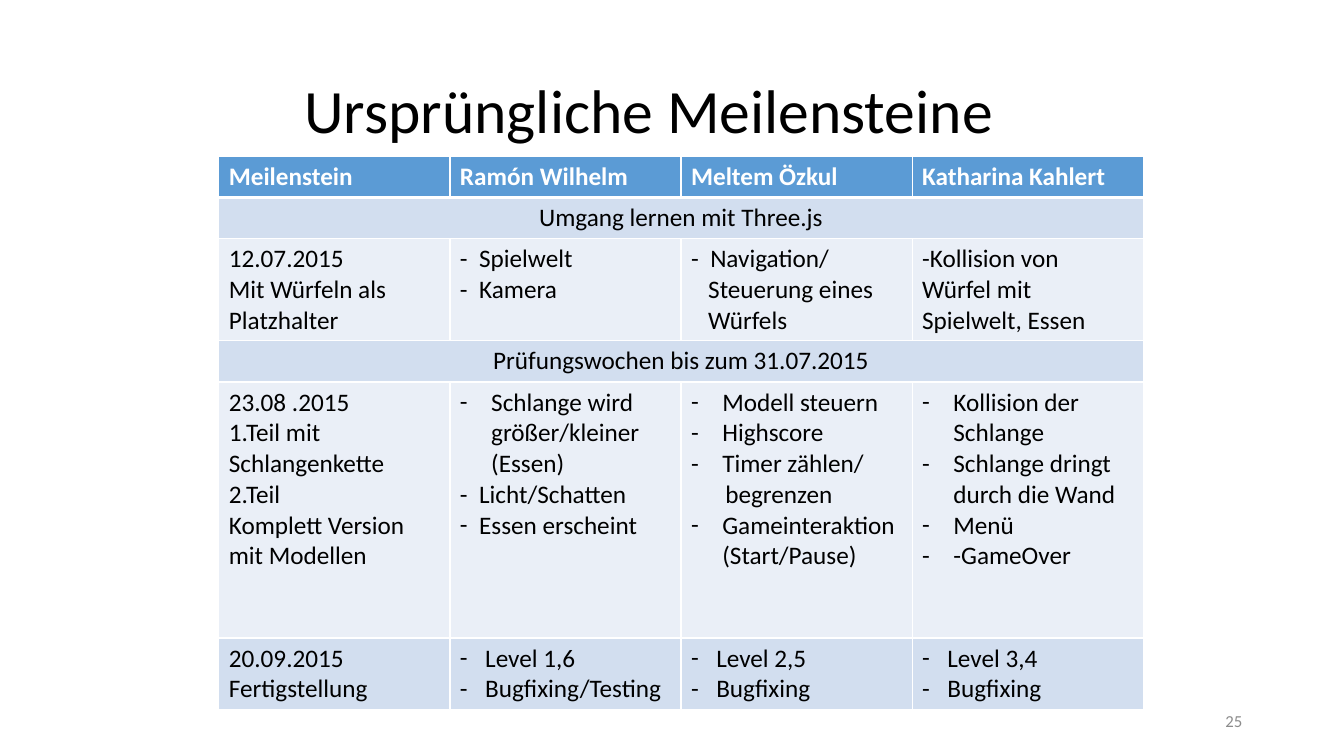
from lxml.etree import SubElement
from pptx import Presentation
from pptx.dml.color import RGBColor
from pptx.enum.text import MSO_ANCHOR, PP_ALIGN
from pptx.oxml.ns import qn
from pptx.util import Inches, Pt

COLORS = {"black": "000000", "white": "FFFFFF", "gray": "8C8C8C",
          "header": "5B9BD5", "band": "D2DEEF", "light": "EAEFF7"}

# Hanging indents in inches for the dashed lists
NARROW, MEDIUM, WIDE = 0.19, 0.25, 0.31


def add_line(para, text, size, color, bold=False, align=PP_ALIGN.LEFT):
    para.alignment = align
    span = para.add_run()
    span.text = text
    font_format = {"name": "Calibri", "size": Pt(size), "bold": bold}
    for name, value in font_format.items():
        setattr(span.font, name, value)
    span.font.color.rgb = RGBColor.from_string(COLORS[color])


def set_indent(para, left, dash):
    properties = para._p.get_or_add_pPr()
    properties.set("marL", str(Inches(left)))
    properties.set("indent", str(-Inches(left) if dash else 0))
    if dash:
        SubElement(properties, qn("a:buFont"), typeface="Calibri")
        SubElement(properties, qn("a:buChar"), char="-")


deck = Presentation()
deck.slide_width, deck.slide_height = Inches(13.33), Inches(7.5)
page = deck.slides.add_slide(deck.slide_layouts[6])

# Title and page number
text_boxes = [
    ("Ursprüngliche Meilensteine", (0.92, 0.4, 11.5, 1.45), 2.1, 44, "black", PP_ALIGN.LEFT, 0.9),
    ("25", (9.42, 6.95, 3, 0.4), 0.1, 12, "gray", PP_ALIGN.RIGHT, 1.0),
]
for text, place, margin, size, color, align, spacing in text_boxes:
    box = page.shapes.add_textbox(*[Inches(length) for length in place])
    frame_format = {"word_wrap": True, "vertical_anchor": MSO_ANCHOR.MIDDLE,
                    "margin_left": Inches(margin)}
    for name, value in frame_format.items():
        setattr(box.text_frame, name, value)
    para = box.text_frame.paragraphs[0]
    para.line_spacing = spacing
    add_line(para, text, size, color, align=align)

# Milestone rows: height, fill, cells; a line is text or (text, indent, dash)
rows = [
    (0.41, "header", [["Meilenstein"], ["Ramón Wilhelm"], ["Meltem Özkul"], ["Katharina Kahlert"]]),
    (0.41, "band", [["Umgang lernen mit Three.js"]]),
    (1.01, "light", [
        ["12.07.2015", "Mit Würfeln als Platzhalter"],
        [("Spielwelt", NARROW, True), ("Kamera", NARROW, True)],
        [("Navigation/", NARROW, True), ("Steuerung eines", 0.17, False), ("Würfels", 0.17, False)],
        ["-Kollision von Würfel mit Spielwelt, Essen"],
    ]),
    (0.41, "band", [["Prüfungswochen bis zum 31.07.2015"]]),
    (2.54, "light", [
        ["23.08 .2015", "1.Teil mit Schlangenkette", "2.Teil", "Komplett Version mit Modellen"],
        [("Schlange wird größer/kleiner (Essen)", WIDE, True),
         ("Licht/Schatten", NARROW, True), ("Essen erscheint", NARROW, True)],
        [("Modell steuern", WIDE, True), ("Highscore", WIDE, True), ("Timer zählen/", WIDE, True),
         ("begrenzen", 0.34, False), ("Gameinteraktion (Start/Pause)", WIDE, True)],
        [("Kollision der Schlange", WIDE, True), ("Schlange dringt durch die Wand", WIDE, True),
         ("Menü", WIDE, True), ("-GameOver", WIDE, True)],
    ]),
    (0.71, "band", [
        ["20.09.2015", "Fertigstellung"],
        [("Level 1,6", MEDIUM, True), ("Bugfixing/Testing", MEDIUM, True)],
        [("Level 2,5", MEDIUM, True), ("Bugfixing", MEDIUM, True)],
        [("Level 3,4", MEDIUM, True), ("Bugfixing", MEDIUM, True)],
    ]),
]

# Milestone table
table = page.shapes.add_table(len(rows), 4, Inches(2.17), Inches(1.55),
                              Inches(9.17), Inches(5.49)).table
for column in table.columns:
    column.width = Inches(9.17 / 4)

for row_index, (height, fill, contents) in enumerate(rows):
    table.rows[row_index].height = Inches(height)
    is_header = fill == "header"
    is_merged = len(contents) == 1

    # Borders and fills, with a thick line below the header
    for cell in table.rows[row_index].cells:
        properties = cell._tc.get_or_add_tcPr()
        for side in ("lnL", "lnR", "lnT", "lnB"):
            thick = (row_index, side) in ((0, "lnB"), (1, "lnT"))
            line = SubElement(properties, qn("a:" + side), w=str(Pt(3 if thick else 1)))
            paint = SubElement(line, qn("a:solidFill"))
            SubElement(paint, qn("a:srgbClr"), val=COLORS["white"])
        cell.fill.solid()
        cell.fill.fore_color.rgb = RGBColor.from_string(COLORS[fill])
    if is_merged:
        table.cell(row_index, 0).merge(table.cell(row_index, 3))

    # Cell text
    for column_index, lines in enumerate(contents):
        frame = table.cell(row_index, column_index).text_frame
        for line_index, entry in enumerate(lines):
            para = frame.add_paragraph() if line_index else frame.paragraphs[0]
            text, left, dash = (entry, 0, False) if isinstance(entry, str) else entry
            add_line(para, text, 18, "white" if is_header else "black", is_header,
                     PP_ALIGN.CENTER if is_merged else PP_ALIGN.LEFT)
            if left:
                set_indent(para, left, dash)

deck.save("out.pptx")
